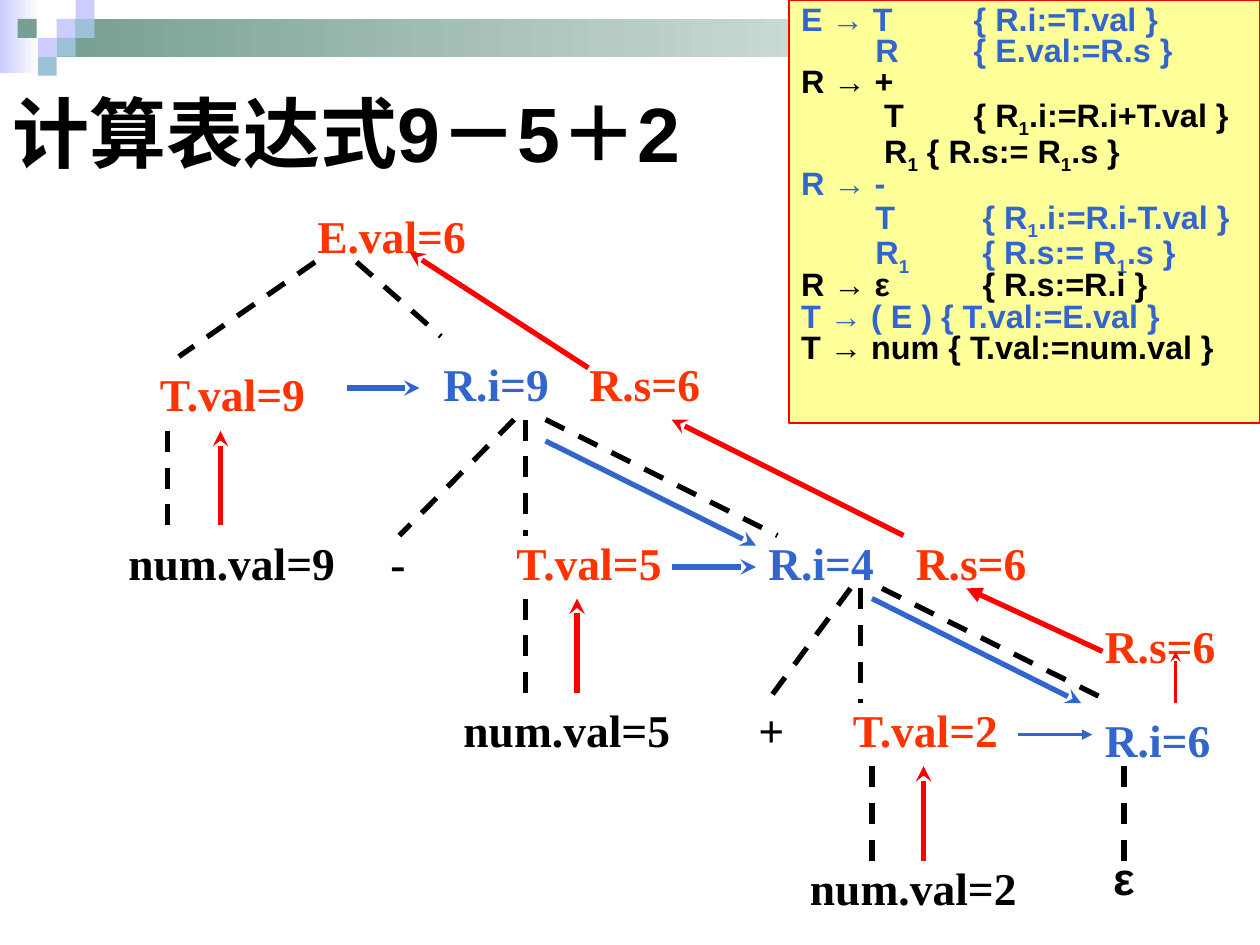
import pptx
import pptx.dml.color
import pptx.enum.dml
import pptx.enum.shapes
import pptx.enum.text
import pptx.oxml.ns
import pptx.util
from lxml import etree

Inches = pptx.util.Inches
Pt = pptx.util.Pt
qn = pptx.oxml.ns.qn

BLACK, RED, ORANGE, BLUE = "000000", "FF0000", "FF3300", "3366CC"
LILAC, GREEN, SKY, YELLOW = "CCCCFF", "779F92", "9DC2D7", "FFFF99"

MOSAIC = [
    (0.45, 0.15, LILAC), (0.6, 0, LILAC), (0.6, 0.15, SKY), (0.3, 0.3, LILAC),
    (0.14, 0.15, GREEN), (0.45, 0.3, SKY), (0.3, 0.45, SKY),
]

# Left, top, text, colour
NODES = [
    (2.42, 1.58, "E.val=6", ORANGE),
    (1.17, 2.83, "T.val=9", ORANGE),
    (3.42, 2.75, "R.i=9", BLUE),
    (4.58, 2.75, "R.s=6", ORANGE),
    (0.92, 4.17, "num.val=9", BLACK),
    (3, 4.17, "-", BLACK),
    (4, 4.17, "T.val=5", ORANGE),
    (6, 4.17, "R.i=4", BLUE),
    (7.17, 4.17, "R.s=6", ORANGE),
    (3.58, 5.5, "num.val=5", BLACK),
    (5.92, 5.5, "+", BLACK),
    (6.67, 5.5, "T.val=2", ORANGE),
    (8.67, 5.58, "R.i=6", BLUE),
    (8.67, 4.83, "R.s=6", ORANGE),
    (6.33, 6.75, "num.val=2", BLACK),
]
NODE_WIDTHS = {"-": 0.67, "+": 0.67}

# Start x, start y, end x, end y
BRANCHES = [
    (2.5, 2.08, 1.42, 2.83), (2.83, 2.08, 3.5, 2.67),
    (1.33, 3.42, 1.33, 4.17),
    (4.08, 3.33, 3.17, 4.25), (4.17, 3.33, 4.17, 4.25), (4.33, 3.33, 6.17, 4.25),
    (4.17, 4.75, 4.17, 5.5),
    (6.75, 4.67, 6.08, 5.58), (6.83, 4.67, 6.83, 5.58), (7, 4.67, 8.83, 5.58),
    (6.92, 6.08, 6.92, 6.83), (8.92, 6.08, 8.92, 6.83),
]

# Start x, start y, end x, end y, colour, width, head
FLOWS = [
    (1.75, 4.17, 1.75, 3.42, RED, 3, "stealth"),
    (2.75, 3.08, 3.33, 3.08, BLUE, 3, "stealth"),
    (4.58, 5.5, 4.58, 4.75, RED, 3, "stealth"),
    (4.33, 3.5, 6, 4.33, BLUE, 3, "stealth"),
    (5.33, 4.5, 6, 4.5, BLUE, 3, "stealth"),
    (7.33, 6.83, 7.33, 6.08, RED, 3, "stealth"),
    (6.92, 4.75, 8.58, 5.58, BLUE, 3, "stealth"),
    (8.08, 5.83, 8.67, 5.83, BLUE, 1.5, "triangle"),
    (9.33, 5.58, 9.33, 5.17, RED, 1.5, "stealth"),
    (8.75, 5.17, 7.67, 4.67, RED, 3, "triangle"),
    (7.17, 4.25, 5.33, 3.33, RED, 3, "stealth"),
    (4.67, 2.92, 3.25, 2, RED, 3, "stealth"),
]

# Text, colour, first tab stop; "_" comes before and after a subscript
GRAMMAR = [
    ("E → T\t{ R.i:=T.val }", BLUE, 0.59),
    ("\tR\t{ E.val:=R.s }", BLUE, 0.59),
    ("R → +", BLACK, 0.59),
    ("\tT\t{ R_1_.i:=R.i+T.val }", BLACK, 0.66),
    ("\tR_1_ { R.s:= R_1_.s }", BLACK, 0.66),
    ("R → -", BLUE, 0.59),
    ("\tT\t { R_1_.i:=R.i-T.val }", BLUE, 0.59),
    ("\tR_1_\t { R.s:= R_1_.s }", BLUE, 0.59),
    ("R → ε\t { R.s:=R.i }", BLACK, 0.59),
    ("T → ( E ) { T.val:=E.val }", BLUE, 0.59),
    ("T → num { T.val:=num.val }", BLACK, 0.59),
]
ACTION_STOP = 1.37


def color(value):
    return pptx.dml.color.RGBColor.from_string(value)


class SlideBuilder:
    """Holds the text style and the slide being built."""

    label_font = "Times New Roman"
    main_font = "Arial"
    label_size = 26

    def __init__(self, page):
        self.page = page

    def style(self, span, size, value, font):
        span.font.size = Pt(size)
        span.font.bold = True
        span.font.name = font
        span.font.color.rgb = color(value)

    def rectangle(self, left, top, width, height, fill, fade=None):
        """Add a borderless rectangle, fading to a second colour if given."""
        shape = self.page.shapes.add_shape(
            pptx.enum.shapes.MSO_SHAPE.RECTANGLE,
            Inches(left), Inches(top), Inches(width), Inches(height))
        shape.shadow.inherit = False
        shape.line.fill.background()
        if fade:
            shape.fill.gradient()
            shape.fill.gradient_angle = 0
            for stop, value in zip(shape.fill.gradient_stops, (fill, fade)):
                stop.color.rgb = color(value)
                stop.position = 0 if value == fill else 1
        else:
            shape.fill.solid()
            shape.fill.fore_color.rgb = color(fill)
        return shape

    def text(self, left, top, width, height, words, value=BLACK,
             size=label_size, font=label_font, align=None):
        box = self.page.shapes.add_textbox(
            Inches(left), Inches(top), Inches(width), Inches(height))
        frame = box.text_frame
        frame.word_wrap = True
        frame.vertical_anchor = pptx.enum.text.MSO_ANCHOR.MIDDLE
        frame.text = words
        frame.paragraphs[0].alignment = align
        self.style(frame.paragraphs[0].runs[0], size, value, font)

    def line(self, x1, y1, x2, y2, value=BLACK, width=3, head=None):
        """Add an arrow, or a dashed line when no head is given."""
        connector = self.page.shapes.add_connector(
            pptx.enum.shapes.MSO_CONNECTOR.STRAIGHT,
            Inches(x1), Inches(y1), Inches(x2), Inches(y2))
        connector.line.color.rgb = color(value)
        connector.line.width = Pt(width)
        if head:
            outline = connector.line._get_or_add_ln()
            etree.SubElement(outline, qn("a:tailEnd"), type=head)
        else:
            connector.line.dash_style = pptx.enum.dml.MSO_LINE.DASH
        etree.SubElement(connector._element.spPr, qn("a:effectLst"))

    def grammar(self, left, top, width, height, rules):
        panel = self.rectangle(left, top, width, height, YELLOW)
        panel.line.color.rgb = color(RED)
        panel.line.width = Pt(1.25)
        frame = panel.text_frame
        frame.word_wrap = True
        frame.vertical_anchor = pptx.enum.text.MSO_ANCHOR.TOP
        for index, (rule, value, stop) in enumerate(rules):
            para = frame.add_paragraph() if index else frame.paragraphs[0]
            tabs = etree.SubElement(para._p.get_or_add_pPr(), qn("a:tabLst"))
            for position in (stop, ACTION_STOP):
                etree.SubElement(tabs, qn("a:tab"), pos=str(Inches(position)), algn="l")
            para.alignment = pptx.enum.text.PP_ALIGN.LEFT
            para.line_spacing = 0.8
            for part, words in enumerate(rule.split("_")):
                span = para.add_run()
                span.text = words
                self.style(span, 18.5, value, self.main_font)
                if part % 2:
                    span.font._element.set("baseline", "-25000")


def main():
    deck = pptx.Presentation()
    deck.slide_width, deck.slide_height = Inches(10), Inches(7.5)
    builder = SlideBuilder(deck.slides.add_slide(deck.slide_layouts[6]))

    builder.rectangle(0, 0, 0.31, 0.58, LILAC, "FFFFFF")
    builder.rectangle(0.45, 0.15, 9.55, 0.3, GREEN, "FFFFFF")
    for left, top, fill in MOSAIC:
        builder.rectangle(left, top, 0.15, 0.15, fill)

    builder.text(0, 0.44, 8.5, 1.21, "计算表达式9－5＋2", size=44, font=builder.main_font)
    for branch in BRANCHES:
        builder.line(*branch)
    for left, top, words, value in NODES:
        width = NODE_WIDTHS.get(words, 2.5 if words.startswith("num") else 1.58)
        builder.text(left, top, width, 0.58, words, value)
    builder.text(8.42, 6.67, 1, 0.58, "ε", font=builder.main_font,
                 align=pptx.enum.text.PP_ALIGN.CENTER)
    for flow in FLOWS:
        builder.line(*flow)
    builder.grammar(6.26, 0, 3.74, 3.36, GRAMMAR)

    deck.save("out.pptx")


if __name__ == "__main__":
    main()
